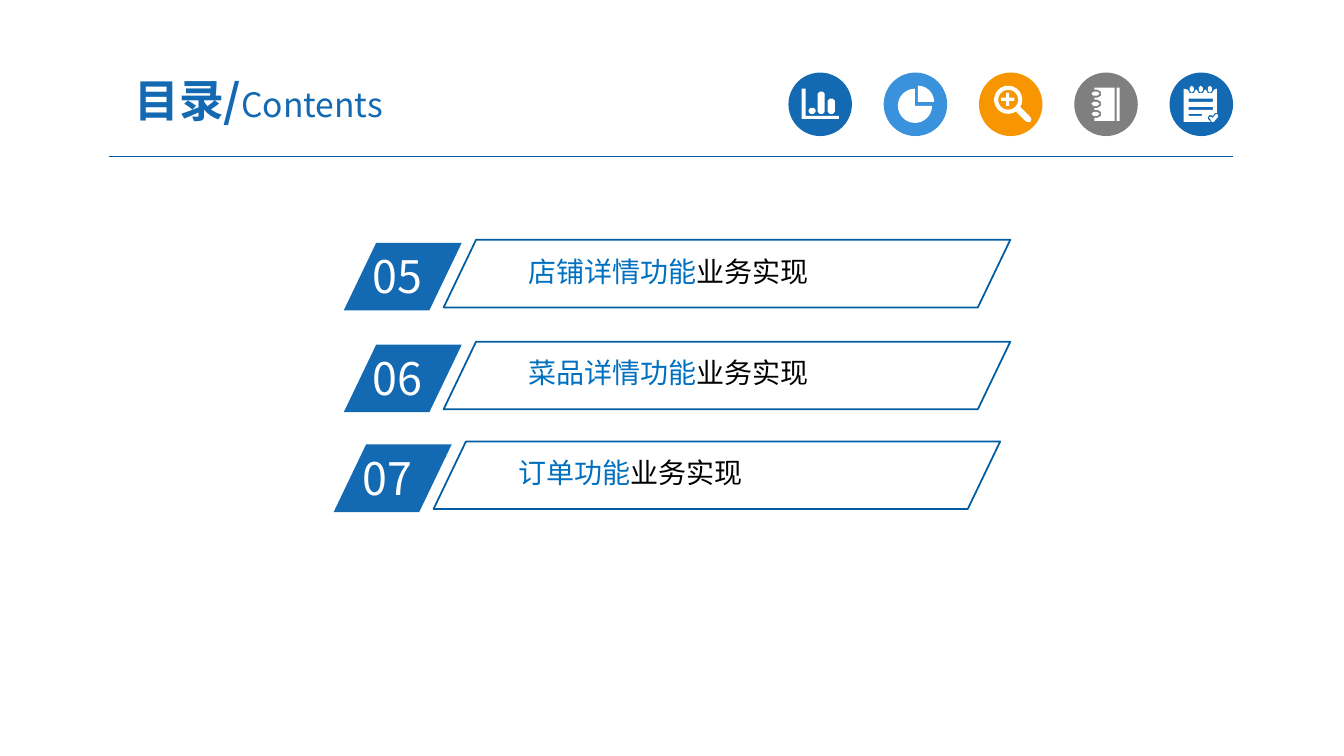
from dataclasses import dataclass
from math import cos, radians, sin

from lxml import etree
from pptx import Presentation
from pptx.dml.color import RGBColor
from pptx.enum.shapes import MSO_CONNECTOR, MSO_SHAPE
from pptx.enum.text import MSO_ANCHOR, MSO_AUTO_SIZE, PP_ALIGN
from pptx.oxml.ns import qn
from pptx.util import Pt

PX = 9144  # EMU in one px, 100 px to the inch
LINE = MSO_CONNECTOR.STRAIGHT
OVAL, SLANT = MSO_SHAPE.OVAL, MSO_SHAPE.PARALLELOGRAM
TOP, MIDDLE = MSO_ANCHOR.TOP, MSO_ANCHOR.MIDDLE
LEFT, CENTER = PP_ALIGN.LEFT, PP_ALIGN.CENTER
FIXED = MSO_AUTO_SIZE.NONE


@dataclass(frozen=True)
class Theme:
    font: str = "Noto Sans CJK SC"
    blue: str = "1369B2"
    sky: str = "3992DB"
    orange: str = "F79600"
    gray: str = "7F7F7F"
    rule: str = "005B9E"
    edge: str = "005DA2"
    lead: str = "0070C0"
    black: str = "000000"
    white: str = "FFFFFF"
    big: int = 32
    sub: int = 24
    label: int = 20


THEME = Theme()


def px(*sizes):
    return [round(size * PX) for size in sizes]


def rgb(color):
    return RGBColor.from_string(color)


def arc(x, y, r, start, end):
    """Points on a circle, more for longer arcs; angles run clockwise from the right."""
    steps = max(1, round(abs(end - start) * r / 240))
    turns = [radians(start + (end - start) * i / steps) for i in range(steps + 1)]
    return [(x + r * cos(t), y + r * sin(t)) for t in turns]


def box(left, top, right, bottom):
    return [(left, top), (right, top), (right, bottom), (left, bottom)]


def pill(left, top, right, bottom, r=2):
    return (arc(left + r, top + r, r, 180, 270) + arc(right - r, top + r, r, 270, 360)
            + arc(right - r, bottom - r, r, 0, 90) + arc(left + r, bottom - r, r, 90, 180))


def bars():
    axis = [(13, 16), (17, 16), (17, 43), (50, 43), (50, 46), (13, 46)]
    tops = ((20, 35), (29, 19), (39, 26))
    return [axis] + [pill(x, y, x + 7, 41) for x, y in tops]


def pie():
    return [[(34, 29)] + arc(34, 29, 16, 270, 360),
            [(31, 33)] + arc(31, 33, 17, 0, 270)]


def lens():
    plus = [(22, 25), (27, 25), (27, 20), (30, 20), (30, 25), (35, 25),
            (35, 28), (30, 28), (30, 33), (27, 33), (27, 28), (22, 28)]
    grip = [(37, 39), (41, 34), (50, 43), (52, 46), (51, 49), (48, 49), (46, 48)]
    return [arc(29, 27, 14, 0, 360), arc(29, 27, 10, 0, 360), plus, grip]


def book():
    rings = (21, 31, 41)
    page = [(40, 48), (40, 15), (20, 15)]
    for y in rings:
        page += [(20, y - 4)] + arc(23, y, 4, -90, 90) + [(20, y + 4)]
    page.append((20, 48))
    return [page, box(42, 15, 45, 48)] + [pill(17, y - 2, 25, y + 2) for y in rings]


def pad():
    rings = (22, 31, 40)
    page = [(14, 16)]
    for x in rings:
        page += arc(x, 17, 4, 180, 0)
    page += [(47, 16), (47, 40), (45, 40), (43, 43), (40, 42),
             (38, 44), (38, 46), (41, 49), (14, 49)]
    tick = [(39, 44), (41, 44), (43, 45), (46, 41), (48, 42), (48, 44), (44, 49), (42, 49)]
    notes = [box(19, 26, 43, 29), box(19, 34, 43, 37), box(19, 41, 32, 43)]
    return [page, tick] + notes + [pill(x - 2, 13, x + 2, 20) for x in rings]


def paint(shape, fill=None, edge=None):
    shape.shadow.inherit = False
    if fill:
        shape.fill.solid()
        shape.fill.fore_color.rgb = rgb(fill)
    else:
        shape.fill.background()
    if edge:
        shape.line.color.rgb = rgb(edge)
        shape.line.width = Pt(1.25)
    else:
        shape.line.fill.background()


def icon(slide, x, y, color, paths):
    paint(slide.shapes.add_shape(OVAL, *px(x, y, 63, 63)), color)
    pen = None
    for path in paths:
        first, *rest = [px(x + a, y + b) for a, b in path]
        if pen is None:
            pen = slide.shapes.build_freeform(*first, scale=1.0)
        else:
            pen.move_to(*first)
        pen.add_line_segments(rest, close=True)
    paint(pen.convert_to_shape(), THEME.white)


def write(shape, runs, size, insets, align=LEFT, anchor=TOP):
    """Fill the shape with one paragraph of (text, color) runs."""
    frame = shape.text_frame
    frame.word_wrap, frame.auto_size, frame.vertical_anchor = True, FIXED, anchor
    side, edge = px(*insets)
    frame.margin_left = frame.margin_right = side
    frame.margin_top = frame.margin_bottom = edge
    para = frame.paragraphs[0]
    para.alignment = align
    para.font.name, para.font.size = THEME.font, Pt(size)
    base = para._p.pPr.find(qn("a:defRPr"))
    etree.SubElement(base, qn("a:ea"), typeface=THEME.font)
    for text, color in runs:
        run = para.add_run()
        run.text = text
        run.font.color.rgb = rgb(color)
    return para


def header(slide, x, y, width):
    title = slide.shapes.title
    title.left, title.top, title.width, title.height = px(x - 16, y - 9, 329, 72)
    runs = [("目录/", THEME.blue), ("Contents", THEME.blue)]
    para = write(title, runs, THEME.big, (13, 7), CENTER, MIDDLE)
    head, tail = para.runs
    head.font.bold = True
    tail.font.size = Pt(THEME.sub)

    rule = slide.shapes.add_connector(LINE, *px(x, y + 83, x + width, y + 83))
    rule.line.color.rgb = rgb(THEME.rule)
    rule.line.width = Pt(0.75)
    etree.SubElement(rule._element.spPr, qn("a:effectLst"))

    icons = ((THEME.blue, bars), (THEME.sky, pie), (THEME.orange, lens),
             (THEME.gray, book), (THEME.blue, pad))
    start = x + width - 63 - 378
    for i, (color, draw) in enumerate(icons):
        icon(slide, start + i * 189 / 2, y, color, draw())


def entry(slide, x, y, number, lead):
    shapes = slide.shapes
    badge = shapes.add_shape(SLANT, *px(x, y + 3, 117, 67))
    paint(badge, THEME.blue)
    digits = shapes.add_textbox(*px(x + 19, y + 4, 112, 64))
    write(digits, [(number, THEME.white)], THEME.big, (10, 5))
    label = shapes.add_textbox(*px(x + 176, y + 10, 412, 41))
    write(label, [(lead, THEME.lead), ("业务实现", THEME.black)], THEME.label, (7, 4))
    band = shapes.add_shape(SLANT, *px(x + 99, y, 562, 67))
    paint(band, edge=THEME.edge)
    for shape in (badge, band):
        shape.adjustments[0] = 0.48


def main():
    deck = Presentation()
    deck.slide_width, deck.slide_height = px(1333, 750)
    slide = deck.slides.add_slide(deck.slide_layouts[5])
    header(slide, 108, 72, 1115)
    entries = ((341, 238, "05", "店铺详情功能"),
               (341, 339, "06", "菜品详情功能"),
               (331, 438, "07", "订单功能"))
    for item in entries:
        entry(slide, *item)
    deck.save("out.pptx")


if __name__ == "__main__":
    main()
